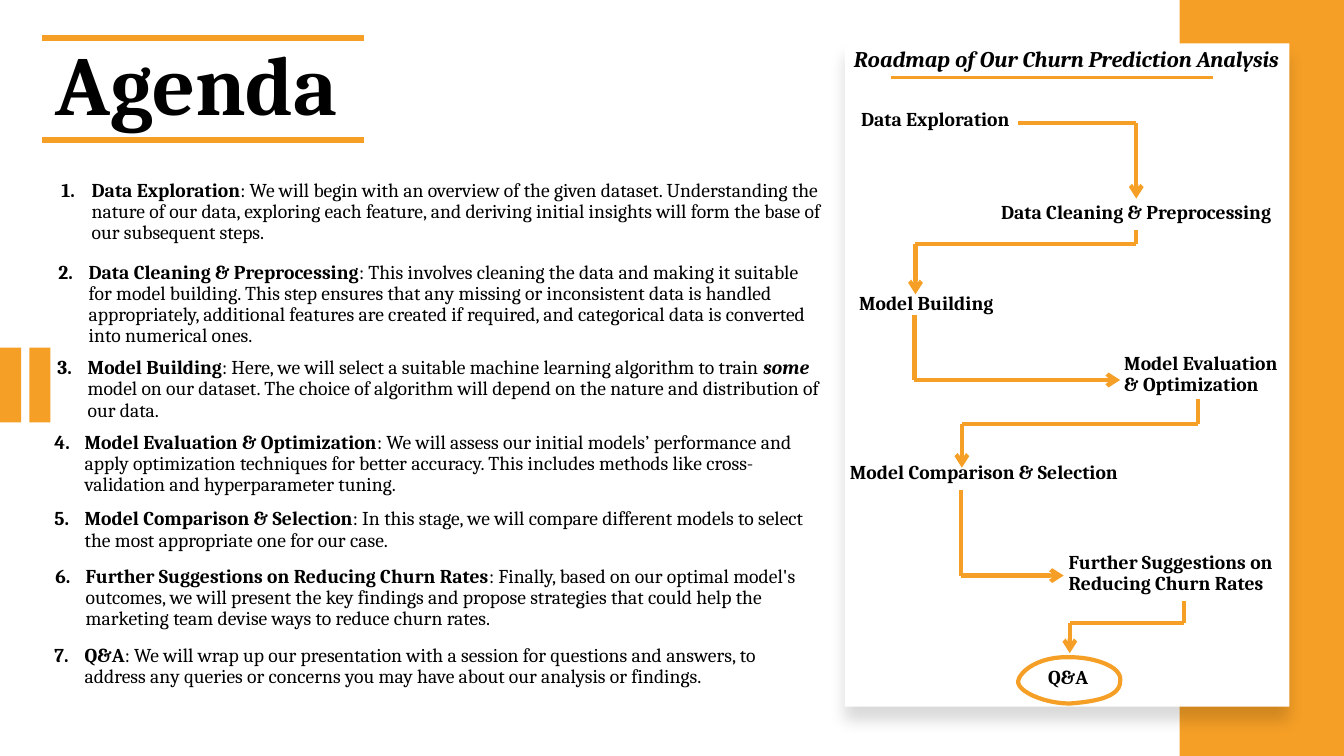
from lxml import etree
from pptx import Presentation
from pptx import util as u
from pptx.dml.color import RGBColor
from pptx.enum import shapes, text
from pptx.oxml import ns

PX = 9144
FONT = "Cambria"
COLORS = {"orange": "F59F26", "white": "FFFFFF", "black": "000000"}

AGENDA = [
    (61, 179, 754, 72, "Data Exploration", [
        (": We will begin with an overview of the given dataset. Understanding the nature of our data, "
         "exploring each feature, and deriving initial insights will form the base of our subsequent steps.", False)]),
    (58, 260, 754, 95, "Data Cleaning & Preprocessing", [
        (": This involves cleaning the data and making it suitable for model building. This step ensures that "
         "any missing or inconsistent data is handled appropriately, additional features are created if "
         "required, and categorical data is converted into numerical ones.", False)]),
    (57, 355, 763, 75, "Model Building", [
        (": Here, we will select a suitable machine learning algorithm to train ", False),
        ("some", True),
        (" model on our dataset. The choice of algorithm will depend on the nature and distribution of "
         "our data.", False)]),
    (54, 429, 754, 74, "Model Evaluation & Optimization", [
        (": We will assess our initial models’ performance and apply optimization techniques for better "
         "accuracy. This includes methods like cross-validation and hyperparameter tuning.", False)]),
    (54, 505, 754, 45, "Model Comparison & Selection", [
        (": In this stage, we will compare different models to select the most appropriate one for our case.",
         False)]),
    (55, 562, 754, 74, "Further Suggestions on Reducing Churn Rates", [
        (": Finally, based on our optimal model's outcomes, we will present the key findings and propose "
         "strategies that could help the marketing team devise ways to reduce churn rates.", False)]),
    (54, 640, 754, 51, "Q&A", [
        (": We will wrap up our presentation with a session for questions and answers, to address any queries "
         "or concerns you may have about our analysis or findings.", False)]),
]

STEPS = [
    (13, 66, 159, 26, "Data Exploration"),
    (152, 158, 286, 26, "Data Cleaning & Preprocessing"),
    (11, 248, 149, 26, "Model Building"),
    (274, 308, 158, 40, "Model Evaluation & Optimization"),
    (2, 416, 286, 26, "Model Comparison & Selection"),
    (219, 505, 213, 45, "Further Suggestions on Reducing Churn Rates"),
]

ROUTES = [
    [(172, 79), (289, 79), (289, 154)],
    [(289, 185), (289, 199), (70, 199), (70, 249)],
    [(69, 270), (69, 334), (273, 334)],
    [(350, 353), (350, 378), (116, 378), (116, 421)],
    [(115, 443), (115, 528), (217, 528)],
    [(336, 553), (336, 575), (223, 575), (223, 605)],
]

LOOP = [
    [(172, 632), (174, 623), (192, 608), (223, 609)],
    [(223, 609), (249, 609), (275, 619), (273, 632)],
    [(273, 632), (274, 648), (250, 653), (223, 655)],
    [(223, 655), (197, 655), (169, 642), (172, 632)],
]


def color(name):
    """Return the named colour."""
    return RGBColor.from_string(COLORS[name])


def add_rect(s, x, y, w, h, fill):
    """Add a plain filled rectangle."""
    sp = s.shapes.add_shape(shapes.MSO_SHAPE.RECTANGLE, x * PX, y * PX, w * PX, h * PX)
    sp.shadow.inherit = False
    sp.fill.solid()
    sp.fill.fore_color.rgb = color(fill)
    sp.line.fill.background()
    return sp


def add_line(s, start, end, width, arrow=False):
    """Add an orange line, with an optional arrowhead at its end."""
    cx = s.shapes.add_connector(shapes.MSO_CONNECTOR.STRAIGHT, *(v * PX for v in (*start, *end)))
    cx.line.color.rgb = color("orange")
    cx.line.width = u.Pt(width)
    if arrow:
        etree.SubElement(cx.line._get_or_add_ln(), ns.qn("a:tailEnd"), type="arrow")
    etree.SubElement(cx._element.spPr, ns.qn("a:effectLst"))


def add_text(s, x, y, w, h, size, runs, indent=(3, 0), italic=False):
    """Add a text box whose runs are (text, bold, italic) and return its frame and paragraph."""
    tf = s.shapes.add_textbox(x * PX, y * PX, w * PX, h * PX).text_frame
    tf.word_wrap = True
    tf.margin_left = tf.margin_right = tf.margin_top = tf.margin_bottom = 0
    p = tf.paragraphs[0]
    p.line_spacing = 0.9
    p.font.name, p.font.size, p.font.italic = FONT, u.Pt(size), italic
    p.font.color.rgb = color("black")
    pPr = p._p.get_or_add_pPr()
    pPr.set("marL", str(indent[0] * PX))
    pPr.set("indent", str(indent[1] * PX))
    for words, bold, slanted in runs:
        r = p.add_run()
        r.text = words
        r.font.bold = bold
        if slanted:
            r.font.italic = True
    return tf, p


def add_title(s, x, y, w, h):
    """Add the slide title between two rules."""
    tf, _ = add_text(s, x + 13, y, 294, h - 2, 60, [("Agenda", True, False)], indent=(0, 0))
    tf.vertical_anchor = text.MSO_ANCHOR.MIDDLE
    for rule_y in (y, y + h):
        add_line(s, (x, rule_y), (x + w, rule_y), 4.5)


def add_side_bars(s, x, y, w, h):
    """Add the pair of bars at the left edge."""
    for i in range(2):
        add_rect(s, x + i * 29, y, w, h, "orange")


def add_agenda(s, x, y):
    """Add the numbered agenda items."""
    for number, (dx, dy, w, h, topic, details) in enumerate(AGENDA, 1):
        runs = [(f"{number}.\t{topic}", True, False)]
        runs += [(words, stress, stress) for words, stress in details]
        add_text(s, x + dx, y + dy, w, h, 14, runs, indent=(30, -30))


def add_shadow(sp):
    """Give a shape a soft shadow below it."""
    effects = sp._element.spPr.find(ns.qn("a:effectLst"))
    shadow = etree.SubElement(effects, ns.qn("a:outerShdw"), blurRad=str(u.Pt(11)),
                              dist=str(u.Pt(10)), dir="5400000", algn="t", rotWithShape="0")
    clr = etree.SubElement(shadow, ns.qn("a:srgbClr"), val=COLORS["black"])
    etree.SubElement(clr, ns.qn("a:alpha"), val="15000")


def add_loop(s, x, y):
    """Add the hand-drawn loop around the last step."""
    steps = 12
    points = []
    for curve in LOOP:
        for i in range(1, steps + 1):
            t = i / steps
            weights = ((1 - t) ** 3, 3 * t * (1 - t) ** 2, 3 * t * t * (1 - t), t ** 3)
            points.append(tuple(round((o + sum(k * pt[axis] for k, pt in zip(weights, curve))) * PX)
                                for axis, o in enumerate((x, y))))
    fb = s.shapes.build_freeform(*points[-1])
    fb.add_line_segments(points[:-1], close=True)
    sp = fb.convert_to_shape()
    sp.shadow.inherit = False
    sp.fill.background()
    sp.line.color.rgb = color("orange")
    sp.line.width = u.Pt(3)


def add_roadmap(s, x, y, w, h):
    """Add the roadmap card with its steps and arrows."""
    add_shadow(add_rect(s, x, y, w, h, "white"))
    add_text(s, x + 6, y + 5, 490, 42, 16,
             [("Roadmap of Our Churn Prediction Analysis", True, True)], italic=True)
    add_line(s, (x + 46, y + 34), (x + 365, y + 34), 2.25)
    for dx, dy, bw, bh, step in STEPS:
        add_text(s, x + dx, y + dy, bw, bh, 14, [(step, True, False)])
    _, p = add_text(s, x + 193, y + 619, 54, 26, 14, [("Q&A", True, False)])
    p.alignment = text.PP_ALIGN.CENTER
    for route in ROUTES:
        points = [(x + dx, y + dy) for dx, dy in route]
        for start, end in zip(points, points[1:]):
            add_line(s, start, end, 3, arrow=end == points[-1])
    add_loop(s, x, y)


def main():
    """Build the agenda slide."""
    prs = Presentation()
    prs.slide_width, prs.slide_height = 1333 * PX, 750 * PX
    s = prs.slides.add_slide(prs.slide_layouts[6])
    add_title(s, 42, 38, 319, 101)
    add_side_bars(s, 0, 345, 21, 74)
    add_rect(s, 1170, 0, 163, 750, "orange")
    add_roadmap(s, 838, 43, 441, 658)
    add_agenda(s, 0, 0)
    prs.save("out.pptx")


if __name__ == "__main__":
    main()
